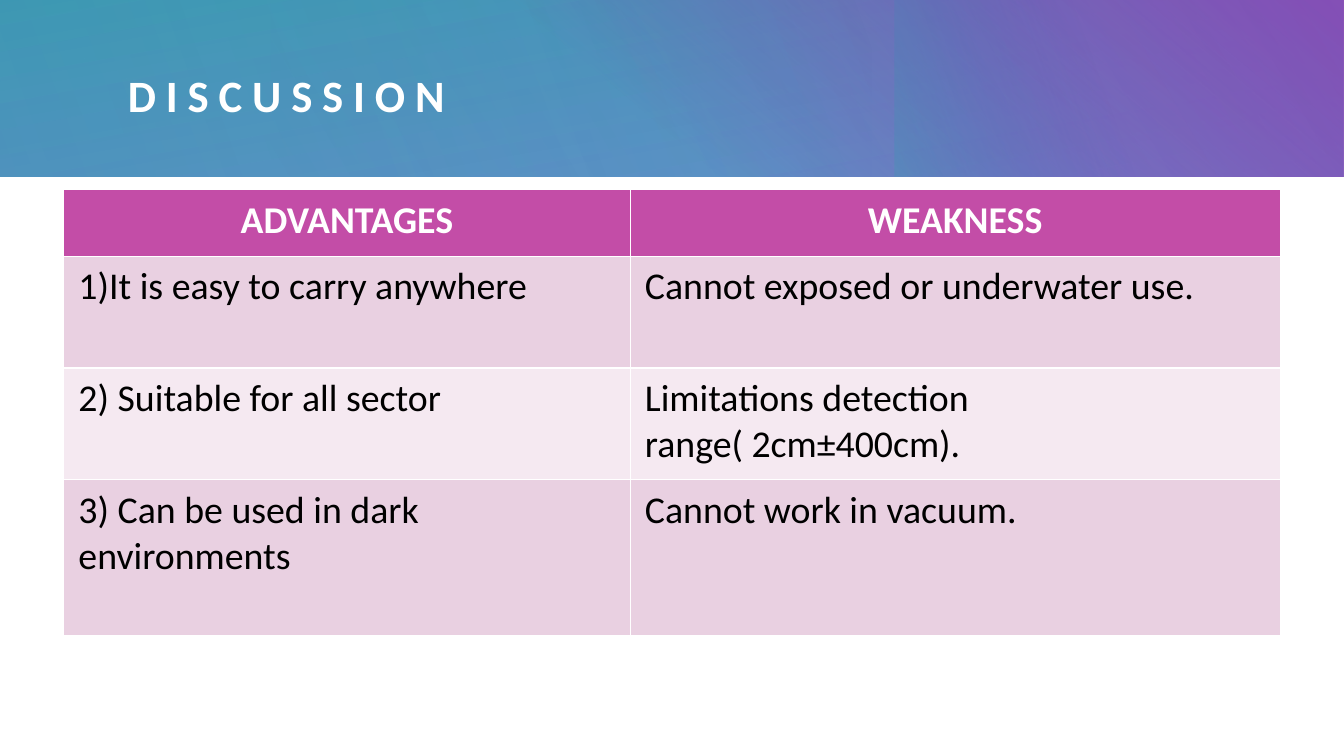
from dataclasses import dataclass

from lxml.etree import SubElement
from pptx import Presentation
from pptx.dml.color import RGBColor
from pptx.enum.shapes import MSO_SHAPE
from pptx.enum.text import MSO_ANCHOR, PP_ALIGN
from pptx.oxml.ns import qn
from pptx.util import Pt


@dataclass(frozen=True)
class Theme:
    font: str = "Calibri"
    white: str = "FFFFFF"
    ink: str = "000000"
    blue: str = "4D7FC3"
    teal: str = "3B9FB1"
    indigo: str = "4344B5"
    purple: str = "9C3BB1"
    head: str = "C34DA7"
    dark: str = "E9D0E1"
    light: str = "F5E9F1"
    title: int = 32
    body: int = 27


THEME = Theme()
ROWS = [
    ("ADVANTAGES", "WEAKNESS"),
    ("It is easy to carry anywhere", "Cannot exposed or underwater use."),
    ("2) Suitable for all sector", "Limitations detection range( 2cm±400cm)."),
    ("3) Can be used in dark environments", "Cannot work in vacuum."),
]
COLS = [404.6, 464.4]
TALL = [47.5, 79.9, 79.9, 111.6]


def apply(item, form):
    for name, value in form.items():
        setattr(item, name, value)


def write(para, text, size, color, bold):
    run = para.add_run()
    run.text = text
    apply(run.font, {"name": THEME.font, "size": Pt(size), "bold": bold})
    run.font.color.rgb = RGBColor.from_string(color)
    return run


def blend(slide, box, angle, stops, turn=0):
    shape = slide.shapes.add_shape(MSO_SHAPE.RECTANGLE, *map(Pt, box))
    shape.rotation = turn
    shape.shadow.inherit = False
    shape.line.fill.background()
    fill = shape.fill
    fill.gradient()
    fill.gradient_angle = 360 - angle
    for stop, (place, color, _) in zip(fill.gradient_stops, stops):
        stop.position = place / 100
        stop.color.rgb = RGBColor.from_string(color)
    tints = shape._element.spPr.iter(qn("a:srgbClr"))
    for tint, (_, _, alpha) in zip(tints, stops):
        SubElement(tint, qn("a:alpha"), val=str(alpha * 1000))


def banner(slide, box):
    left, top, width, high = box
    blue, teal, purple = THEME.blue, THEME.teal, THEME.purple
    layers = [
        (0, width, 260, (0, blue, 83), (100, teal, 100), 0),
        (346.3, width - 346.3, 310, (22, purple, 0), (99, purple, 100), 0),
        (639, 269.3, 250, (45, THEME.indigo, 0), (99, teal, 33), 270),
        (193, 766, 330, (0, blue, 30), (99, blue, 0), 180),
        (0, 622.8, 340, (0, blue, 21), (99, blue, 0), 0),
    ]
    for shift, wide, angle, start, end, turn in layers:
        part = (left + shift, top, wide, high)
        if turn == 270:
            gap = (wide - high) / 2
            part = (left + shift + gap, top - gap, high, wide)
        blend(slide, part, angle, (start, end), turn)
    area = (left + 91.4, top + 29.5, width - 142.8, high - 49.7)
    frame = slide.shapes.add_textbox(*map(Pt, area)).text_frame
    apply(frame, {
        "word_wrap": True, "vertical_anchor": MSO_ANCHOR.MIDDLE,
        "margin_left": 0, "margin_right": 0,
        "margin_top": 0, "margin_bottom": 0,
    })
    run = write(frame.paragraphs[0], "DISCUSSION", THEME.title, THEME.white, True)
    run._r.get_or_add_rPr().set("spc", "700")


def number(para):
    props = para._p.get_or_add_pPr()
    apply(props, {"marL": Pt(27), "indent": Pt(-27)})
    SubElement(props, qn("a:buFont"), typeface=THEME.font)
    SubElement(props, qn("a:buAutoNum"), type="arabicParenR")


def grid(slide, box):
    frame = slide.shapes.add_table(len(ROWS), len(COLS), *map(Pt, box))
    table = frame.table
    for col, wide in zip(table.columns, COLS):
        col.width = Pt(wide)
    for row, high in zip(table.rows, TALL):
        row.height = Pt(high)
    pads = {
        "margin_left": Pt(10.6), "margin_right": Pt(10.6),
        "margin_top": Pt(5.3), "margin_bottom": Pt(5.3),
    }
    for i, texts in enumerate(ROWS):
        top = i == 0
        shade = THEME.head if top else THEME.dark if i % 2 else THEME.light
        for j, text in enumerate(texts):
            cell = table.cell(i, j)
            apply(cell, pads)
            cell.fill.solid()
            cell.fill.fore_color.rgb = RGBColor.from_string(shade)
            para = cell.text_frame.paragraphs[0]
            para.alignment = PP_ALIGN.CENTER if top else PP_ALIGN.LEFT
            write(para, text, THEME.body, THEME.white if top else THEME.ink, top)
    number(table.cell(1, 0).text_frame.paragraphs[0])


def main():
    deck = Presentation()
    apply(deck, {"slide_width": Pt(960), "slide_height": Pt(540)})
    slide = deck.slides.add_slide(deck.slide_layouts[6])
    banner(slide, (0, 0, 960, 126))
    grid(slide, (45.5, 135.5, sum(COLS), sum(TALL)))
    deck.save("out.pptx")


if __name__ == "__main__":
    main()
